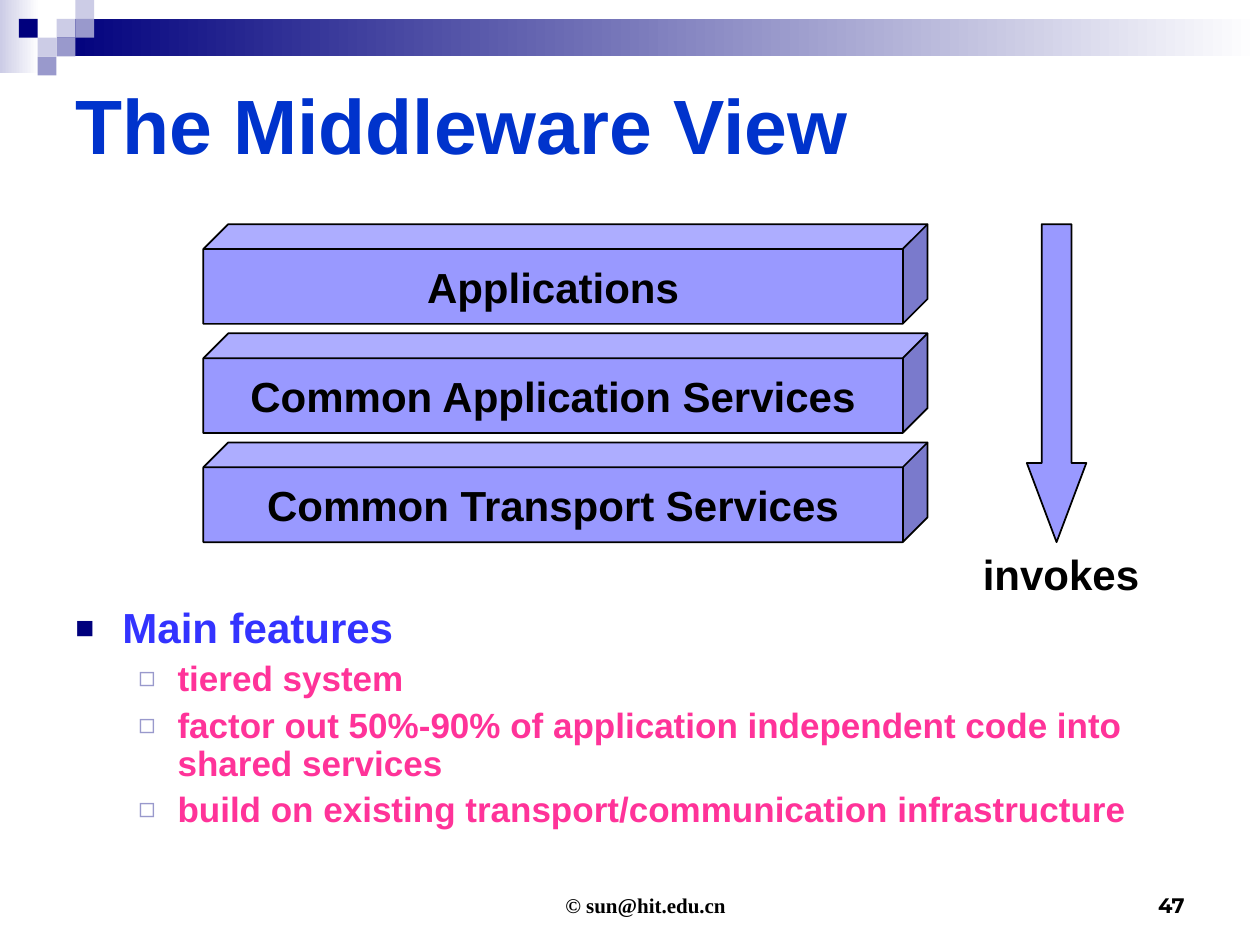
from lxml import etree
from pptx import Presentation
from pptx.dml.color import RGBColor
from pptx.enum.shapes import MSO_SHAPE
from pptx.enum.text import MSO_ANCHOR, PP_ALIGN
from pptx.oxml.ns import qn
from pptx.util import Cm, Pt

RECT, CUBE, DOWN_ARROW = MSO_SHAPE.RECTANGLE, MSO_SHAPE.CUBE, MSO_SHAPE.DOWN_ARROW
LEFT, CENTER, RIGHT = PP_ALIGN.LEFT, PP_ALIGN.CENTER, PP_ALIGN.RIGHT
TOP, MIDDLE, BOTTOM = MSO_ANCHOR.TOP, MSO_ANCHOR.MIDDLE, MSO_ANCHOR.BOTTOM

WHITE = RGBColor(0xFF, 0xFF, 0xFF)
BLACK = RGBColor(0x00, 0x00, 0x00)
NAVY = RGBColor(0x00, 0x00, 0x7D)
PALE = RGBColor(0xCC, 0xCC, 0xE6)
MUTED = RGBColor(0x99, 0x99, 0xCC)
LAVENDER = RGBColor(0x99, 0x99, 0xFF)
TITLE_BLUE = RGBColor(0x00, 0x33, 0xCC)
FEATURE_BLUE = RGBColor(0x33, 0x33, 0xFF)
PINK = RGBColor(0xFF, 0x33, 0x99)

TITLE = "The Middleware View"
LAYERS = ["Applications", "Common Application Services", "Common Transport Services"]
ARROW_LABEL = "invokes"
FEATURES = [
    (0, "Main features"),
    (1, "tiered system"),
    (1, "factor out 50%-90% of application independent code into shared services"),
    (1, "build on existing transport/communication infrastructure"),
]
LEVELS = [
    dict(size=24, color=FEATURE_BLUE, bullet="■", bullet_color=NAVY,
         bullet_size=75, margin=0.95, hanging=0.95, before=6),
    dict(size=20, color=PINK, bullet="◻", bullet_color=MUTED,
         bullet_size=80, margin=2.06, hanging=0.79, before=5),
]
FOOTER = "© sun@hit.edu.cn"
PAGE_NUMBER = "47"

TILE = 0.38
BANDS = [(0, 0, 0.79, 1.47, PALE), (3 * TILE, TILE, 24.26, 0.75, NAVY)]
TILES = [(3, 1, PALE), (4, 0, PALE), (4, 1, MUTED), (2, 2, PALE),
         (1, 1, NAVY), (3, 2, MUTED), (2, 3, MUTED)]

STACK_LEFT, STACK_TOP, LAYER_WIDTH, LAYER_HEIGHT, LAYER_PITCH = 4.1, 4.52, 14.6, 2.01, 2.2
STACK_HEIGHT = LAYER_PITCH * (len(LAYERS) - 1) + LAYER_HEIGHT


def add_shape(slide, kind, box, color, outlined=False):
    shape = slide.shapes.add_shape(kind, *map(Cm, box))
    shape.shadow.inherit = False
    shape.fill.solid()
    shape.fill.fore_color.rgb = color
    if outlined:
        shape.line.color.rgb = BLACK
        shape.line.width = Pt(1)
    else:
        shape.line.fill.background()
    return shape


def add_band(slide, box, color):
    band = add_shape(slide, RECT, box, color)
    band.fill.gradient()
    band.fill.gradient_angle = 0
    for stop, stop_color in zip(band.fill.gradient_stops, (color, WHITE)):
        stop.color.rgb = stop_color


def style(paragraph, size, color, font="Arial", align=LEFT):
    paragraph.alignment = align
    paragraph.font.size = Pt(size)
    paragraph.font.name = font
    paragraph.font.bold = True
    paragraph.font.color.rgb = color


def add_text(slide, box, text, size, color, font="Arial", align=LEFT, anchor=TOP):
    frame = slide.shapes.add_textbox(*map(Cm, box)).text_frame
    frame.word_wrap = True
    frame.vertical_anchor = anchor
    frame.text = text
    style(frame.paragraphs[0], size, color, font, align)
    return frame


def add_bullet(paragraph, level):
    props = paragraph._p.get_or_add_pPr()
    props.set("marL", str(Cm(level["margin"])))
    props.set("indent", str(-Cm(level["hanging"])))
    bullet_color = etree.SubElement(props, qn("a:buClr"))
    etree.SubElement(bullet_color, qn("a:srgbClr"), val=str(level["bullet_color"]))
    etree.SubElement(props, qn("a:buSzPct"), val=str(level["bullet_size"] * 1000))
    etree.SubElement(props, qn("a:buFont"), typeface="Arial")
    etree.SubElement(props, qn("a:buChar"), char=level["bullet"])


def add_features(slide, box):
    frame = slide.shapes.add_textbox(*map(Cm, box)).text_frame
    frame.word_wrap = True
    frame.text = "\n".join(text for _, text in FEATURES)
    for index, (paragraph, (depth, _)) in enumerate(zip(frame.paragraphs, FEATURES)):
        level = LEVELS[depth]
        paragraph.level = depth
        add_bullet(paragraph, level)
        style(paragraph, level["size"], level["color"])
        paragraph.line_spacing = 0.9
        if index:
            paragraph.space_before = Pt(level["before"])


def add_layer(slide, index, text):
    top = STACK_TOP + index * LAYER_PITCH
    layer = add_shape(slide, CUBE, (STACK_LEFT, top, LAYER_WIDTH, LAYER_HEIGHT), LAVENDER, True)
    layer.adjustments[0] = 0.25
    frame = layer.text_frame
    frame.word_wrap = False
    frame.vertical_anchor = MIDDLE
    frame.text = text
    style(frame.paragraphs[0], 24, BLACK, align=CENTER)


def main():
    deck = Presentation()
    deck.slide_width, deck.slide_height = Cm(25.4), Cm(19.05)
    slide = deck.slides.add_slide(deck.slide_layouts[6])

    for *box, color in BANDS:
        add_band(slide, box, color)
    for column, row, color in TILES:
        add_shape(slide, RECT, (column * TILE, row * TILE, TILE, TILE), color)

    add_text(slide, (1.27, 1.27, 22.86, 2.46), TITLE, 44, TITLE_BLUE, anchor=MIDDLE)
    add_features(slide, (1.27, 12.12, 22.86, 5.59))

    for index, text in enumerate(LAYERS):
        add_layer(slide, index, text)
    arrow = add_shape(slide, DOWN_ARROW, (20.7, STACK_TOP, 1.2, STACK_HEIGHT), LAVENDER, True)
    arrow.adjustments[0] = 0.5
    arrow.adjustments[1] = 1.33
    add_text(slide, (18.7, STACK_TOP + STACK_HEIGHT, 5.38, 1.27), ARROW_LABEL, 24, BLACK,
             align=CENTER)

    footer = add_text(slide, (8.69, 17.35, 8.05, 1.27), FOOTER, 12, BLACK,
                      "Times New Roman", CENTER, BOTTOM)
    footer.paragraphs[0]._p.get_or_add_pPr().set("marL", str(Cm(0.6)))
    add_text(slide, (18.21, 17.35, 5.92, 1.27), PAGE_NUMBER, 12, BLACK,
             "Montserrat", RIGHT, BOTTOM)

    deck.save("out.pptx")


if __name__ == "__main__":
    main()
